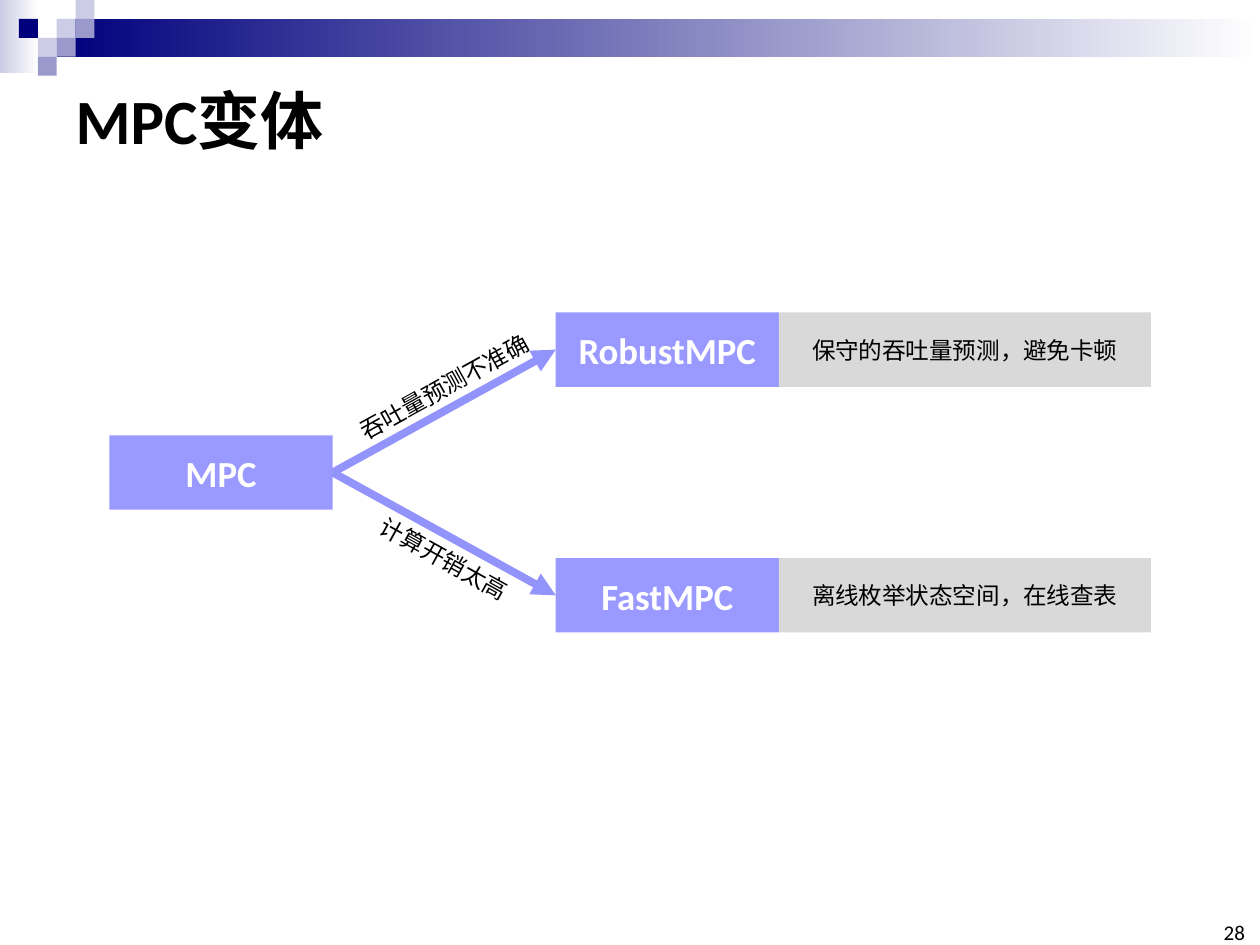
from dataclasses import dataclass
from math import atan2, degrees

from lxml import etree
from pptx import Presentation
from pptx.dml.color import RGBColor
from pptx.enum import shapes, text
from pptx.oxml.ns import qn
from pptx.util import Pt


@dataclass(frozen=True)
class Theme:
    navy: str = "00007D"
    lilac: str = "CCCCE6"
    violet: str = "9999CC"
    node: str = "9999FF"
    arrow: str = "9393FC"
    note: str = "D9D9D9"
    white: str = "FFFFFF"
    black: str = "000000"
    latin: str = "Calibri"
    chinese: str = "Noto Sans CJK SC"
    title_size: float = 36
    node_size: float = 21
    label_size: float = 13.5
    number_size: float = 12


THEME = Theme()
UNIT = 10.8                       # side of one square in the header
COLUMN, ROW_HEIGHT = 127.5, 42.5  # diagram grid
LEFT, MIDDLE, RISE = 62.6, 270, 70.2
LABEL_HEIGHT, LABEL_OFFSET = 34, 14

SQUARES = [
    (3, 1, THEME.lilac), (4, 0, THEME.lilac), (4, 1, THEME.violet),
    (2, 2, THEME.lilac), (1, 1, THEME.navy), (3, 2, THEME.violet),
    (2, 3, THEME.violet),
]
# direction of the branch (-1 up, 1 down), reason, variant, remedy
BRANCHES = [
    (-1, "吞吐量预测不准确", "RobustMPC", "保守的吞吐量预测，避免卡顿"),
    (1, "计算开销太高", "FastMPC", "离线枚举状态空间，在线查表"),
]


def rgb(color):
    return RGBColor.from_string(color)


def write(shape, words, size, color=THEME.black, bold=False, font=THEME.latin,
          align=text.PP_ALIGN.CENTER, anchor=text.MSO_ANCHOR.MIDDLE,
          wrap=True, margin=None):
    frame = shape.text_frame
    frame.text = words
    frame.word_wrap = wrap
    frame.vertical_anchor = anchor
    if margin is not None:
        frame.margin_left = frame.margin_right = Pt(margin)
        frame.margin_top = frame.margin_bottom = Pt(margin)
    para = frame.paragraphs[0]
    para.alignment = align
    para.font.name, para.font.size, para.font.bold = font, Pt(size), bold
    para.font.color.rgb = rgb(color)
    latin = para.font._element.find(qn("a:latin"))
    east_asian = etree.Element(qn("a:ea"), typeface=THEME.chinese)
    latin.addnext(east_asian)


def add_box(page, left, top, width, height, *colors):
    """Add a rectangle: one colour fills it, two make a gradient to the right."""
    box = page.shapes.add_shape(shapes.MSO_SHAPE.RECTANGLE,
                                Pt(left), Pt(top), Pt(width), Pt(height))
    box.shadow.inherit = False
    box.line.fill.background()
    if len(colors) == 1:
        box.fill.solid()
        box.fill.fore_color.rgb = rgb(colors[0])
    else:
        box.fill.gradient()
        box.fill.gradient_angle = 0
        for position, (stop, color) in enumerate(zip(box.fill.gradient_stops, colors)):
            stop.position = position
            stop.color.rgb = rgb(color)
    return box


def add_text(page, left, top, width, height, words, size, **style):
    box = page.shapes.add_textbox(Pt(left), Pt(top), Pt(width), Pt(height))
    write(box, words, size, **style)
    return box


def add_arrow(page, x1, y1, x2, y2):
    arrow = page.shapes.add_connector(shapes.MSO_CONNECTOR.STRAIGHT,
                                      Pt(x1), Pt(y1), Pt(x2), Pt(y2))
    arrow.line.color.rgb = rgb(THEME.arrow)
    arrow.line.width = Pt(4.5)
    etree.SubElement(arrow.line._get_or_add_ln(), qn("a:tailEnd"), type="triangle")
    etree.SubElement(arrow._element.spPr, qn("a:effectLst"))


def add_header(page):
    add_box(page, 0, 0, 22.3, 41.8, THEME.lilac, THEME.white)
    add_box(page, 3 * UNIT, UNIT, 720 - 3 * UNIT, 2 * UNIT, THEME.navy, THEME.white)
    for column, row, color in SQUARES:
        add_box(page, column * UNIT, row * UNIT, UNIT, UNIT, color)


def add_title(page, words):
    title = page.shapes.title
    title.left, title.top, title.width, title.height = Pt(36), Pt(36), Pt(648), Pt(64)
    write(title, words, THEME.title_size, bold=True, align=text.PP_ALIGN.LEFT)


def add_node(page, column, center, words):
    node = add_box(page, LEFT + column * COLUMN, center - ROW_HEIGHT / 2,
                   COLUMN, ROW_HEIGHT, THEME.node)
    write(node, words, THEME.node_size, THEME.white, bold=True)


def add_branch(page, direction, reason, variant, remedy):
    """Add an arrow with its reason, the variant it leads to and the remedy."""
    start = LEFT + COLUMN
    center = MIDDLE + direction * RISE
    add_node(page, 2, center, variant)
    note = add_box(page, LEFT + 3 * COLUMN, center - ROW_HEIGHT / 2,
                   212.5, ROW_HEIGHT, THEME.note)
    write(note, remedy, THEME.label_size, font=THEME.chinese, wrap=False)
    add_arrow(page, start, MIDDLE, start + COLUMN, center)
    label_center = MIDDLE + direction * (RISE / 2 + LABEL_OFFSET)
    label = add_text(page, start, label_center - LABEL_HEIGHT / 2, COLUMN,
                     LABEL_HEIGHT, reason, THEME.label_size, wrap=False)
    label.rotation = round(degrees(atan2(direction * RISE, COLUMN)))


def main():
    deck = Presentation()
    deck.slide_width, deck.slide_height = Pt(720), Pt(540)
    page = deck.slides.add_slide(deck.slide_layouts.get_by_name("Title Only"))
    add_header(page)
    add_title(page, "MPC变体")
    add_node(page, 0, MIDDLE, "MPC")
    for branch in BRANCHES:
        add_branch(page, *branch)
    add_text(page, 694.8, 527.8, 16.6, 12.2, "28", THEME.number_size, margin=0,
             align=text.PP_ALIGN.RIGHT, anchor=text.MSO_ANCHOR.BOTTOM)
    deck.save("out.pptx")


if __name__ == "__main__":
    main()
